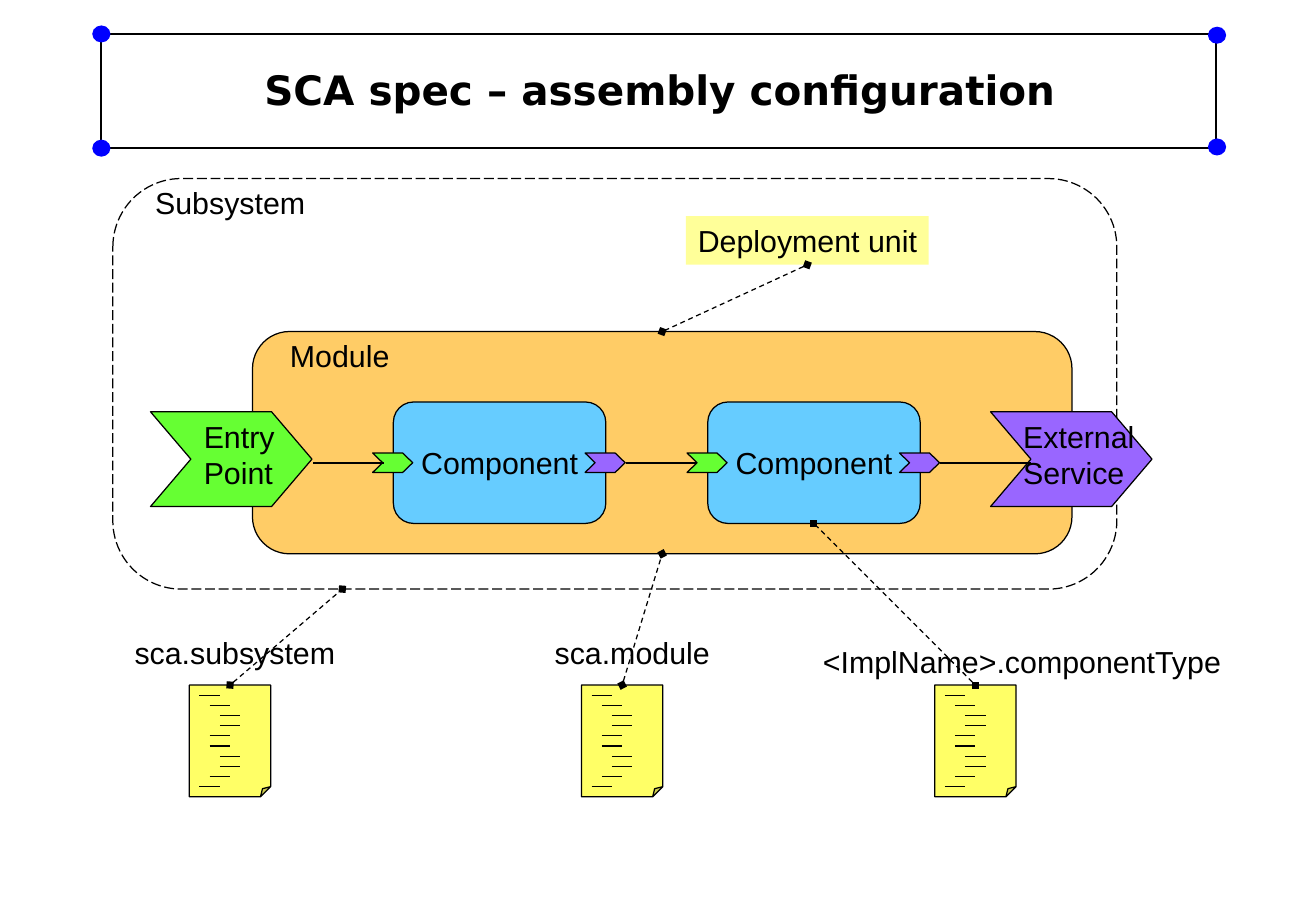
from lxml import etree
from pptx import Presentation
from pptx.dml.color import RGBColor
from pptx.enum.dml import MSO_LINE
from pptx.enum.shapes import MSO_CONNECTOR, MSO_SHAPE
from pptx.enum.text import MSO_ANCHOR, MSO_AUTO_SIZE, PP_ALIGN
from pptx.oxml.ns import qn
from pptx.util import Inches, Pt

RECTANGLE, ELLIPSE = MSO_SHAPE.RECTANGLE, MSO_SHAPE.OVAL
ROUNDED, FOLDED = MSO_SHAPE.ROUNDED_RECTANGLE, MSO_SHAPE.FOLDED_CORNER
STRAIGHT = MSO_CONNECTOR.STRAIGHT
DASH, LONG_DASH = MSO_LINE.DASH, MSO_LINE.LONG_DASH
MIDDLE, TOP = MSO_ANCHOR.MIDDLE, MSO_ANCHOR.TOP
LEFT, CENTER = PP_ALIGN.LEFT, PP_ALIGN.CENTER
NO_AUTOFIT = MSO_AUTO_SIZE.NONE
TOP_SIDE, BOTTOM_SIDE = 0, 2

# Content
TITLE = "SCA spec – assembly configuration"
COLOURS = {
    "black": "000000", "dot": "0000FF", "module": "FFCC66",
    "component": "66CCFF", "entry": "66FF33", "service": "9966FF",
    "document": "FFFF66", "note": "FFFF99",
}
FRAME = (0.83, 0.28, 9.19, 0.94)
DOTS = [(0.76, 0.21), (9.95, 0.22), (9.95, 1.14), (0.76, 1.15)]
SUBSYSTEM = (0.93, 1.47, 8.27, 3.38)
MODULE = (2.08, 2.73, 6.75, 1.83)
NOTE = (5.65, 1.78, 2.0, 0.4)
COMPONENT_LEFTS = [3.24, 5.83]
COMPONENT_TOP, COMPONENT_WIDTH, COMPONENT_HEIGHT = 3.31, 1.75, 1.0
PORT_WIDTH, PORT_HEIGHT = 0.33, 0.16
PORT_OFFSETS = [("entry", -0.17), ("service", 1.58)]
GATES = [("entry", 1.24), ("service", 8.16)]
WIRE_Y = 3.81
WIRES = [(2.58, 3.16), (5.16, 5.74), (7.74, 8.49)]
LABELS = [
    (["Subsystem"], (1.18, 1.47, 1.43, 0.4)),
    (["Module"], (2.29, 2.73, 1.02, 0.4)),
    (["Entry", "Point"], (1.58, 3.39, 0.78, 0.7)),
    (["External", "Service"], (8.33, 3.39, 1.11, 0.7)),
    (["sca.subsystem"], (1.01, 5.17, 1.85, 0.4)),
    (["sca.module"], (4.47, 5.17, 1.48, 0.4)),
    (["<ImplName>.componentType"], (6.68, 5.25, 3.49, 0.4)),
]
DOCUMENT_LEFTS = [1.56, 4.79, 7.7]
DOCUMENT_TOP, DOCUMENT_WIDTH, DOCUMENT_HEIGHT = 5.64, 0.67, 0.92
CODE_INDENTS = [0, 1, 2, 2, 1, 1, 2, 2, 1, 0]
CODE_STEP = DOCUMENT_HEIGHT / (len(CODE_INDENTS) + 1)
SUBSYSTEM_LINK = (2.82, 4.85)


def colour(name):
    return RGBColor.from_string(COLOURS[name])


def write(shape, lines, font="Arial", size=18, bold=False,
          align=LEFT, anchor=TOP, wrap=False):
    frame = shape.text_frame
    frame.word_wrap = wrap
    frame.auto_size = NO_AUTOFIT
    frame.vertical_anchor = anchor
    frame.margin_left = frame.margin_right = Inches(0.1)
    frame.margin_top = frame.margin_bottom = Inches(0.05)
    for number, line in enumerate(lines):
        para = frame.add_paragraph() if number else frame.paragraphs[0]
        para.alignment = align
        span = para.add_run()
        span.text = line
        span.font.name = font
        span.font.size = Pt(size)
        span.font.bold = bold
        span.font.color.rgb = colour("black")


def paint(shape, fill, line_width, dash=None):
    shape.shadow.inherit = False
    if fill:
        shape.fill.solid()
        shape.fill.fore_color.rgb = colour(fill)
    else:
        shape.fill.background()
    if line_width:
        shape.line.color.rgb = colour("black")
        shape.line.width = Pt(line_width)
        if dash:
            shape.line.dash_style = dash
    else:
        shape.line.fill.background()


def add_box(page, kind, place, fill=None, line_width=0.75, dash=None):
    box = page.shapes.add_shape(kind, *map(Inches, place))
    paint(box, fill, line_width, dash)
    return box


def add_chevron(page, left, top, width, height, fill):
    right, bottom, middle = left + width, top + height, top + height / 2
    notch = width / 4
    corners = [(left, top), (right - notch, top), (right, middle),
               (right - notch, bottom), (left, bottom), (left + notch, middle)]
    points = [(Inches(x), Inches(y)) for x, y in corners]
    builder = page.shapes.build_freeform(*points[0], scale=1.0)
    builder.add_line_segments(points[1:], close=True)
    paint(builder.convert_to_shape(), fill, 0.75)


def add_line(page, start, end, width=0.75):
    line = page.shapes.add_connector(STRAIGHT, *map(Inches, start + end))
    line.line.color.rgb = colour("black")
    line.line.width = Pt(width)
    etree.SubElement(line._element.spPr, qn("a:effectLst"))
    return line


def add_link(page, source, source_side, target, target_side, end=(0, 0)):
    link = add_line(page, (0, 0), end)
    link.begin_connect(source, source_side)
    if target is not None:
        link.end_connect(target, target_side)
    link.line.dash_style = DASH
    outline = link._element.spPr.find(qn("a:ln"))
    for tag in ("a:headEnd", "a:tailEnd"):
        etree.SubElement(outline, qn(tag), type="diamond")


def add_document(page, left):
    place = (left, DOCUMENT_TOP, DOCUMENT_WIDTH, DOCUMENT_HEIGHT)
    sheet = add_box(page, FOLDED, place, "document")
    # Size of the folded corner, in 1/100000 of the short side
    geometry = sheet._element.spPr.find(qn("a:prstGeom"))
    guides = geometry.find(qn("a:avLst"))
    etree.SubElement(guides, qn("a:gd"), name="adj", fmla="val 12500")
    for row, indent in enumerate(CODE_INDENTS, start=1):
        x = left + CODE_STEP * (1 + indent)
        y = DOCUMENT_TOP + CODE_STEP * row
        add_line(page, (x, y), (x + 2 * CODE_STEP, y))
    return sheet


def main():
    deck = Presentation()
    deck.slide_width, deck.slide_height = Inches(10.84), Inches(7.5)
    page = deck.slides.add_slide(deck.slide_layouts[5])

    # Title and its frame
    title = page.shapes.title
    title.left, title.top = Inches(0.9), Inches(0.36)
    title.width, title.height = Inches(9.07), Inches(0.75)
    write(title, [TITLE], "DejaVu Sans", 24, True, CENTER, MIDDLE, True)
    add_box(page, RECTANGLE, FRAME, line_width=1.25)
    for left, top in DOTS:
        add_box(page, ELLIPSE, (left, top, 0.15, 0.14), "dot", None)

    # Subsystem and module
    add_box(page, ROUNDED, SUBSYSTEM, dash=LONG_DASH)
    module = add_box(page, ROUNDED, MODULE, "module")

    # Components with their ports
    components = []
    for left in COMPONENT_LEFTS:
        place = (left, COMPONENT_TOP, COMPONENT_WIDTH, COMPONENT_HEIGHT)
        box = add_box(page, ROUNDED, place, "component")
        write(box, ["Component"], align=CENTER, anchor=MIDDLE)
        components.append(box)
        for fill, offset in PORT_OFFSETS:
            add_chevron(page, left + offset, WIRE_Y - PORT_HEIGHT / 2,
                        PORT_WIDTH, PORT_HEIGHT, fill)

    # Entry point, external service and wires
    for fill, left in GATES:
        add_chevron(page, left, 3.39, 1.33, 0.78, fill)
    for start, end in WIRES:
        add_line(page, (start, WIRE_Y), (end, WIRE_Y), 1)

    # Labels, note and documents
    note = add_box(page, RECTANGLE, NOTE, "note", None)
    write(note, ["Deployment unit"])
    for lines, place in LABELS:
        write(page.shapes.add_textbox(*map(Inches, place)), lines)
    documents = [add_document(page, left) for left in DOCUMENT_LEFTS]

    # Dashed links
    subsystem_file, module_file, component_file = documents
    add_link(page, module_file, TOP_SIDE, module, BOTTOM_SIDE)
    add_link(page, subsystem_file, TOP_SIDE, None, None, SUBSYSTEM_LINK)
    add_link(page, component_file, TOP_SIDE, components[1], BOTTOM_SIDE)
    add_link(page, note, BOTTOM_SIDE, module, TOP_SIDE)

    deck.save("out.pptx")


if __name__ == "__main__":
    main()
